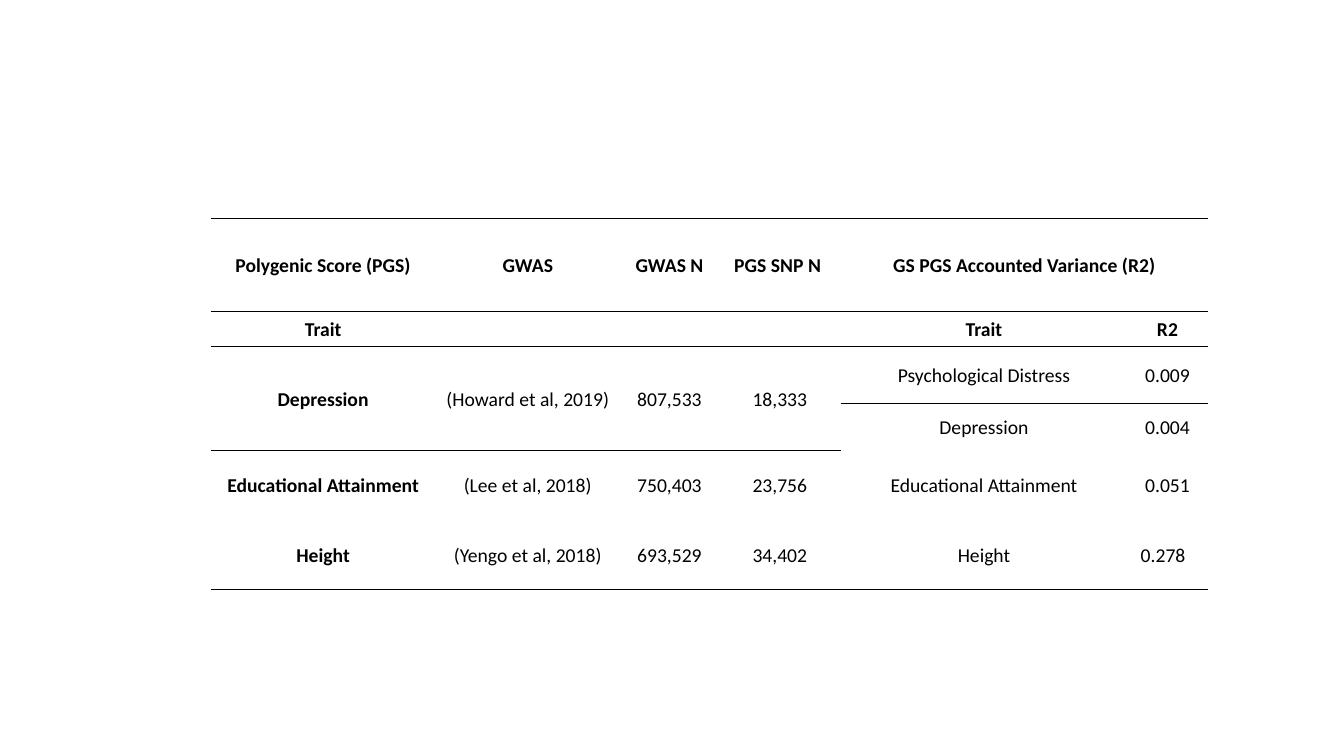
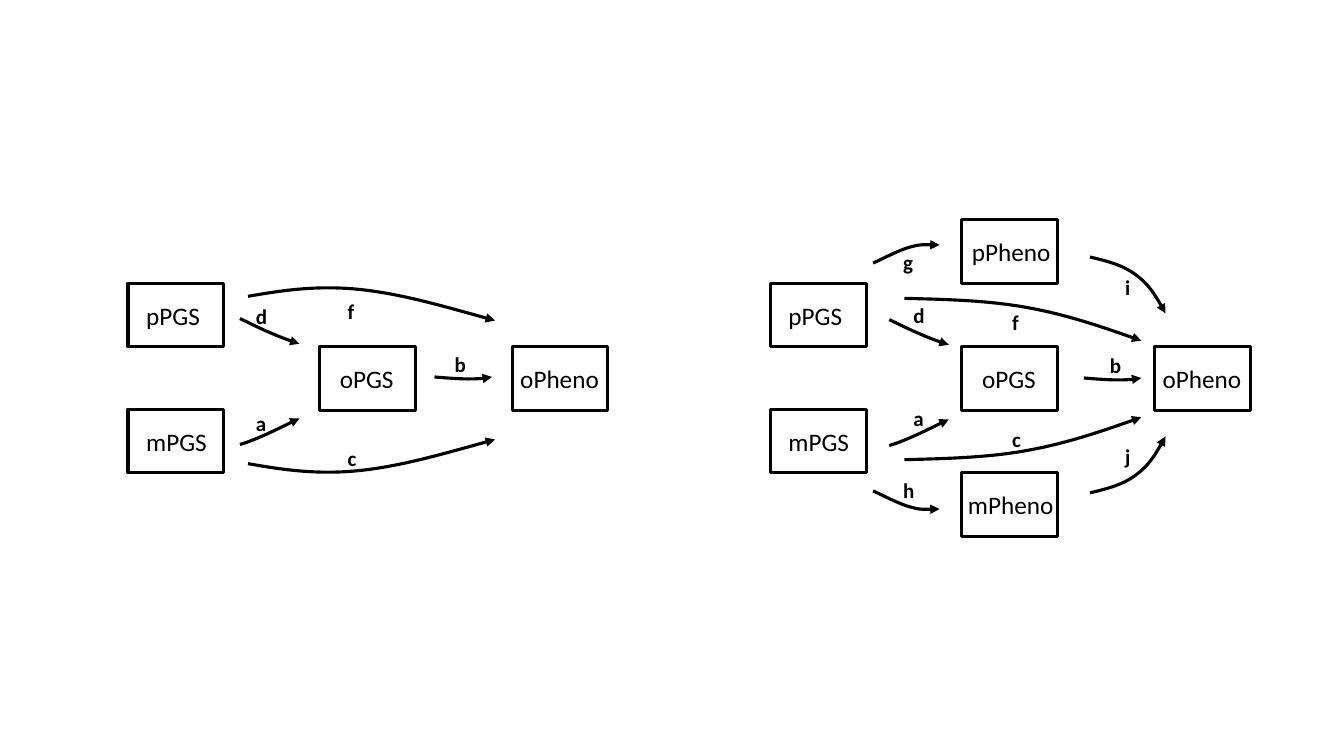
from lxml import etree
from pptx import Presentation
from pptx.dml.color import RGBColor
from pptx.enum.shapes import MSO_SHAPE
from pptx.enum.text import MSO_ANCHOR, PP_ALIGN
from pptx.oxml import parse_xml
from pptx.oxml.ns import nsdecls, qn
from pptx.util import Inches, Pt

RECTANGLE = MSO_SHAPE.RECTANGLE
MIDDLE = MSO_ANCHOR.MIDDLE
LEFT, CENTER = PP_ALIGN.LEFT, PP_ALIGN.CENTER
BLACK = RGBColor(0, 0, 0)
FONT = "Calibri"
LINE_WIDTH = Pt(2.25)
NO_GRID_STYLE = "{2D5ABB26-0587-4C30-8999-92F81FD0307C}"

TABLE_ROWS = [
    ("Polygenic Score (PGS)", "GWAS", "GWAS N", "PGS SNP N ",
     "GS PGS Accounted Variance (R2)", ""),
    ("Trait", "", "", "", "Trait", "R2"),
    ("Depression", "(Howard et al, 2019)", "807,533", "18,333",
     "Psychological Distress", "0.009"),
    ("", "", "", "", "Depression", "0.004"),
    ("Educational Attainment", "(Lee et al, 2018)", "750,403", "23,756",
     "Educational Attainment", "0.051"),
    ("Height", "(Yengo et al, 2018)", "693,529", "34,402",
     "Height", "0.278\u00a0\u00a0"),
]
COLUMN_WIDTHS = [2.23, 1.83, 0.98, 1.21, 2.84, 0.8]
ROW_HEIGHTS = [0.92, 0.35, 0.56, 0.47, 0.69, 0.69]
HEADER_ROWS = 2
RULED_TOP = (0, 1, 2)
RULED_BOTTOM = (0, 1, 5)
MERGES = [((0, 4), (0, 5))] + [((2, column), (3, column)) for column in range(4)]

BOX_SIZE = (0.95, 0.63)
PANEL_SHIFT = (6.37, 0)
ARROW_SHIFT = (6.44, 0.01)

# name, left, top, text inset
SHARED_NODES = [
    ("pPGS", 1.27, 2.81, 0.18),
    ("mPGS", 1.27, 4.06, 0.18),
    ("oPGS", 3.17, 3.44, 0.2),
    ("oPheno", 5.08, 3.44, 0.08),
]
PARENT_NODES = [
    ("pPheno", 9.54, 2.18, 0.1),
    ("mPheno", 9.54, 4.69, 0.06),
]
SHARED_CURVES = [
    [(2.38, 3.16), (2.6, 3.27), (2.83, 3.37), (2.97, 3.41)],
    [(2.38, 4.41), (2.52, 4.37), (2.75, 4.26), (2.97, 4.15)],
    [(4.31, 3.74), (4.54, 3.76), (4.76, 3.77), (4.88, 3.74)],
]
MIRRORED_CURVES = [
    (3.77, [(2.46, 2.94), (2.8, 2.88), (3.14, 2.83), (3.55, 2.87),
            (3.96, 2.91), (4.44, 3.05), (4.91, 3.18)]),
    (3.76, [(8.97, 2.96), (9.38, 2.97), (9.79, 2.98), (10.18, 3.05),
            (10.57, 3.12), (10.95, 3.25), (11.32, 3.38)]),
    (3.74, [(8.66, 2.61), (8.79, 2.55), (8.92, 2.48), (9.03, 2.45),
            (9.14, 2.42), (9.26, 2.43), (9.32, 2.43)]),
    (3.72, [(10.81, 2.55), (10.98, 2.59), (11.14, 2.63), (11.27, 2.73),
            (11.39, 2.82), (11.48, 2.96), (11.56, 3.11)]),
]
PATH_LABELS = [
    ("a", 2.44, 4.02), ("c", 3.35, 4.37), ("b", 4.41, 3.44),
    ("f", 3.35, 2.91), ("d", 2.44, 2.96),
    ("a", 8.96, 3.97), ("c", 9.94, 4.18), ("b", 10.91, 3.45),
    ("f", 9.94, 3.02), ("d", 8.96, 2.95), ("g", 8.86, 2.43),
    ("h", 8.86, 4.69), ("i", 11.06, 2.67), ("j", 11.06, 4.35),
]


def write(text_frame, text, size, bold=False, alignment=LEFT):
    """Write one run in the shared font and return its paragraph."""
    paragraph = text_frame.paragraphs[0]
    paragraph.alignment = alignment
    run = paragraph.add_run()
    run.text = text
    run.font.name = FONT
    run.font.size = Pt(size)
    run.font.bold = bold
    run.font.color.rgb = BLACK
    return paragraph


def rule_cell(cell, edge):
    """Draw a black one-point rule on one edge of a cell."""
    line = parse_xml(
        f'<a:{edge} {nsdecls("a")} w="12700"><a:solidFill>'
        f'<a:srgbClr val="{BLACK}"/></a:solidFill></a:{edge}>')
    cell._tc.get_or_add_tcPr().insert(0, line)


def add_score_table(slide):
    """Add the table of polygenic scores."""
    frame = slide.shapes.add_table(
        len(ROW_HEIGHTS), len(COLUMN_WIDTHS), Inches(2.09), Inches(2.17),
        Inches(sum(COLUMN_WIDTHS)), Inches(sum(ROW_HEIGHTS)))
    table = frame.table
    table.first_row = table.horz_banding = False
    table._tbl.tblPr.find(qn("a:tableStyleId")).text = NO_GRID_STYLE
    for column, width in zip(table.columns, COLUMN_WIDTHS):
        column.width = Inches(width)
    for row, height in zip(table.rows, ROW_HEIGHTS):
        row.height = Inches(height)
    for start, end in MERGES:
        table.cell(*start).merge(table.cell(*end))
    for row_index, texts in enumerate(TABLE_ROWS):
        for column_index, text in enumerate(texts):
            cell = table.cell(row_index, column_index)
            cell.margin_left = cell.margin_right = Inches(0.07)
            cell.margin_top = cell.margin_bottom = 0
            cell.vertical_anchor = MIDDLE
            cell.fill.background()
            if row_index in RULED_BOTTOM:
                rule_cell(cell, "lnB")
            if row_index in RULED_TOP:
                rule_cell(cell, "lnT")
            if text:
                bold = row_index < HEADER_ROWS or column_index == 0
                paragraph = write(cell.text_frame, text, 14, bold, CENTER)
                paragraph.line_spacing = 1.07


def style_outline(shape):
    """Give a shape a black outline without fill or shadow."""
    shape.shadow.inherit = False
    shape.fill.background()
    shape.line.color.rgb = BLACK
    shape.line.width = LINE_WIDTH


def add_node(slide, name, left, top, inset):
    """Add a named box of the path diagram."""
    box = slide.shapes.add_shape(
        RECTANGLE, Inches(left), Inches(top), *map(Inches, BOX_SIZE))
    style_outline(box)
    text_frame = box.text_frame
    text_frame.word_wrap = True
    text_frame.vertical_anchor = MIDDLE
    text_frame.margin_left = Inches(inset)
    text_frame.margin_right = 0
    write(text_frame, name, 18)


def add_curve(slide, points):
    """Add a curved arrow through a start point and Bezier triples."""
    corners = [(Inches(x), Inches(y)) for x, y in points]
    builder = slide.shapes.build_freeform(*corners[0])
    builder.add_line_segments(corners[1:], close=False)
    curve = builder.convert_to_shape()
    style_outline(curve)
    segments = list(curve._element.iter(qn("a:lnTo")))
    for index in range(0, len(segments), 3):
        first, *others = segments[index:index + 3]
        first.tag = qn("a:cubicBezTo")
        for segment in others:
            first.append(segment[0])
            segment.getparent().remove(segment)
    etree.SubElement(curve.line._get_or_add_ln(), qn("a:tailEnd"), type="triangle")


def add_label(slide, text, left, top):
    """Add the bold letter of a path."""
    box = slide.shapes.add_textbox(
        Inches(left), Inches(top), Inches(0.35), Inches(0.35))
    box.text_frame.word_wrap = True
    write(box.text_frame, text, 15, True)


def add_path_diagrams(slide):
    """Add both path diagrams, the right one with parental phenotypes."""
    for panel in range(2):
        node_x, node_y = (panel * shift for shift in PANEL_SHIFT)
        for name, left, top, inset in SHARED_NODES:
            add_node(slide, name, left + node_x, top + node_y, inset)
        arrow_x, arrow_y = (panel * shift for shift in ARROW_SHIFT)
        for points in SHARED_CURVES:
            add_curve(slide, [(x + arrow_x, y + arrow_y) for x, y in points])
    for node in PARENT_NODES:
        add_node(slide, *node)
    for axis, points in MIRRORED_CURVES:
        add_curve(slide, points)
        add_curve(slide, [(x, 2 * axis - y) for x, y in points])
    for label in PATH_LABELS:
        add_label(slide, *label)


def main():
    """Build the two slides and save them."""
    presentation = Presentation()
    presentation.slide_width = Inches(13.33)
    presentation.slide_height = Inches(7.5)
    blank_layout = presentation.slide_layouts[6]
    for add_content in (add_score_table, add_path_diagrams):
        add_content(presentation.slides.add_slide(blank_layout))
    presentation.save("out.pptx")


main()
